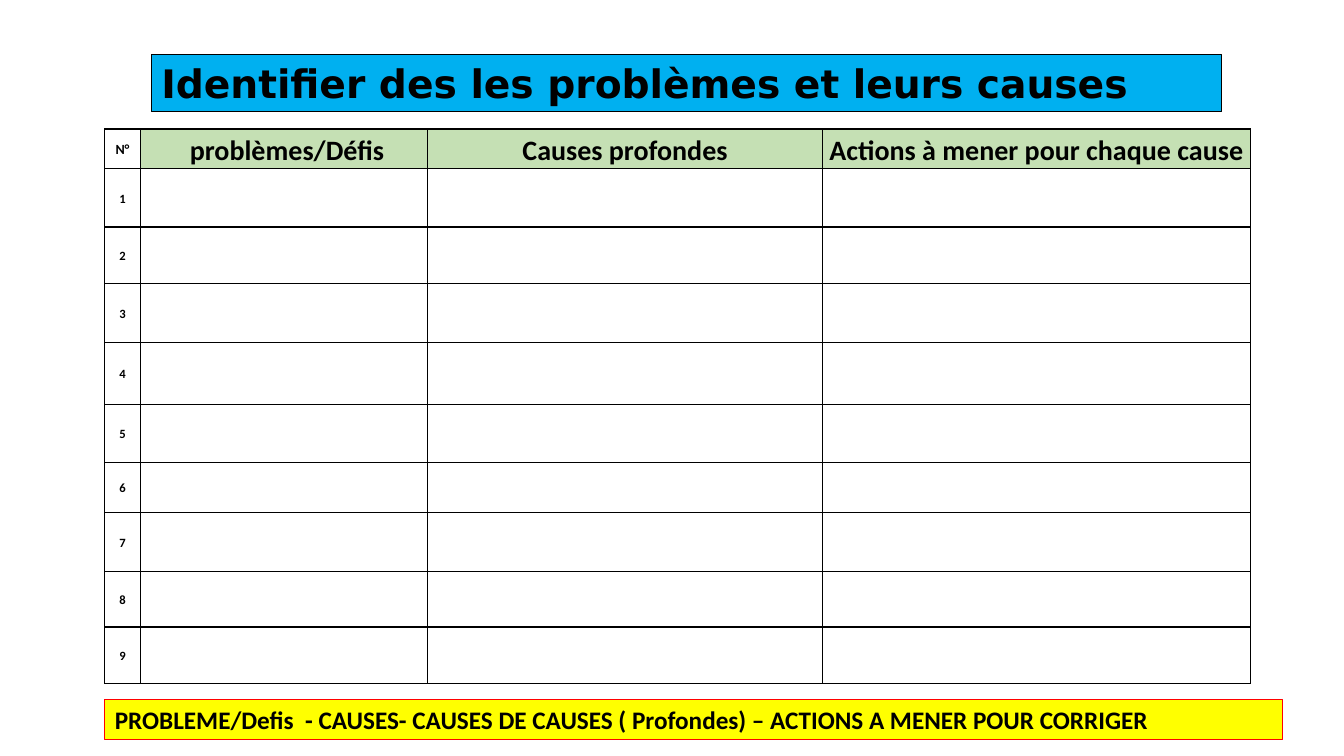
from dataclasses import dataclass
from lxml.etree import SubElement as Sub
from pptx import Presentation
from pptx.dml.color import RGBColor as Rgb
from pptx.enum.text import MSO_ANCHOR as Anchor, MSO_AUTO_SIZE as Fit, PP_ALIGN as Align
from pptx.oxml.ns import qn
from pptx.util import Inches, Pt


@dataclass(frozen=True)
class Theme:
    ink: str = "000000"
    blue: str = "00B0F0"
    green: str = "C5E0B4"
    yellow: str = "FFFF00"
    red: str = "FF0000"
    body: str = "Calibri"
    head: str = "DejaVu Sans"
    title: int = 28
    label: int = 20
    note: int = 18
    mark: int = 10
    num: int = 9


THEME = Theme()
HEADS = ["N°", " problèmes/Défis", "Causes profondes",
         "Actions à mener pour chaque cause"]
COLS = [0.35, 2.85, 3.92, 4.24]
ROWS = [0.39, 0.58, 0.56, 0.59, 0.61, 0.58, 0.49, 0.59, 0.55, 0.56]


def style(par, size, face):
    for run in par.runs:
        font = run.font
        font.size, font.name, font.bold = Pt(size), face, True
        font.color.rgb = Rgb.from_string(THEME.ink)


def banner(shape, box, text, fill, line, size, face):
    """Filled, outlined strip with one line of bold text."""
    shape.left, shape.top, shape.width, shape.height = map(Inches, box)
    shape.fill.solid()
    shape.fill.fore_color.rgb = Rgb.from_string(fill)
    shape.line.color.rgb = Rgb.from_string(line)
    shape.line.width = Pt(0.75)
    frame = shape.text_frame
    frame.text = text
    frame.word_wrap = True
    frame.auto_size = Fit.NONE
    frame.vertical_anchor = Anchor.TOP
    par = frame.paragraphs[0]
    par.alignment = Align.LEFT
    style(par, size, face)


def border(cell):
    props = cell._tc.get_or_add_tcPr()
    for side in ("a:lnL", "a:lnR", "a:lnT", "a:lnB"):
        line = Sub(props, qn(side), w=str(Pt(1)))
        fill = Sub(line, qn("a:solidFill"))
        Sub(fill, qn("a:srgbClr"), val=THEME.ink)


def fill_cell(cell, text, size, tint):
    border(cell)
    cell.margin_left = cell.margin_right = Inches(0.04)
    cell.margin_top = cell.margin_bottom = 0
    cell.vertical_anchor = Anchor.MIDDLE
    if tint:
        cell.fill.solid()
        cell.fill.fore_color.rgb = Rgb.from_string(tint)
    else:
        cell.fill.background()
    if text:
        cell.text_frame.text = text
        par = cell.text_frame.paragraphs[0]
        par.alignment = Align.CENTER
        par.line_spacing = 1.15
        par.space_after = Pt(10)
        style(par, size, THEME.body)


def grid(slide, left, top):
    """Numbered table with blank cells to fill in."""
    box = map(Inches, (left, top, sum(COLS), sum(ROWS)))
    table = slide.shapes.add_table(len(ROWS), len(COLS), *box).table
    table.first_row = table.horz_banding = False
    for col, width in zip(table.columns, COLS):
        col.width = Inches(width)
    for r, height in enumerate(ROWS):
        table.rows[r].height = Inches(height)
        texts = HEADS if r == 0 else [str(r), "", "", ""]
        for c, text in enumerate(texts):
            top_row = r == 0
            tint = THEME.green if top_row and c else None
            if top_row:
                size = THEME.label if c else THEME.mark
            else:
                size = THEME.num
            fill_cell(table.cell(r, c), text, size, tint)


def main():
    deck = Presentation()
    deck.slide_width, deck.slide_height = Inches(13.33), Inches(7.5)
    slide = deck.slides.add_slide(deck.slide_layouts[5])

    # Title
    banner(slide.shapes.title, (1.5, 0.54, 10.62, 0.57),
           "Identifier des les problèmes et leurs causes",
           THEME.blue, THEME.ink, THEME.title, THEME.head)

    # Table
    grid(slide, 1.04, 1.28)

    # Reminder at the foot
    foot = (1.04, 6.94, 11.68, 0.4)
    note = slide.shapes.add_textbox(*map(Inches, foot))
    banner(note, foot,
           "PROBLEME/Defis  - CAUSES- CAUSES DE CAUSES ( Profondes) – ACTIONS A MENER POUR CORRIGER",
           THEME.yellow, THEME.red, THEME.note, THEME.body)

    deck.save("out.pptx")


if __name__ == "__main__":
    main()
